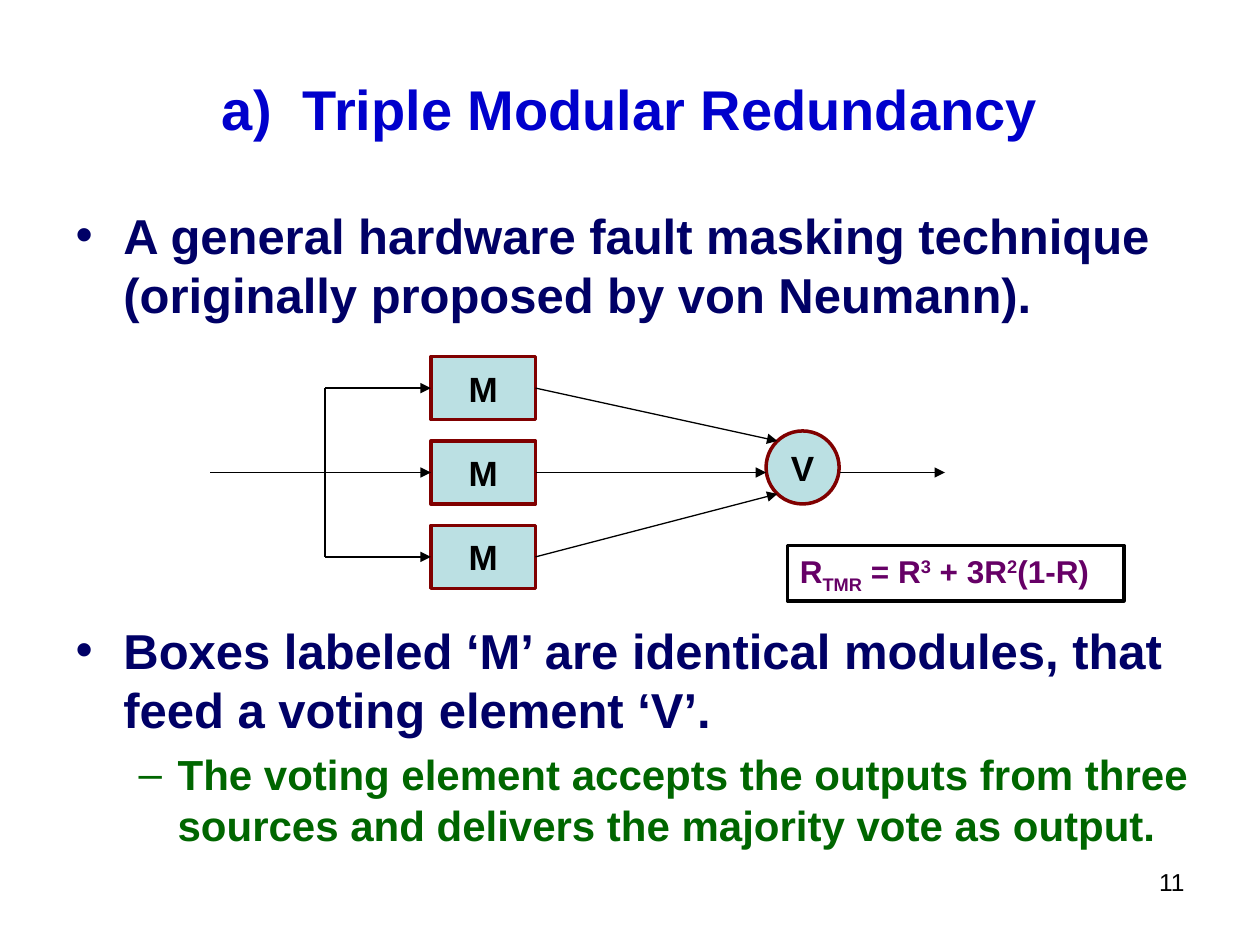
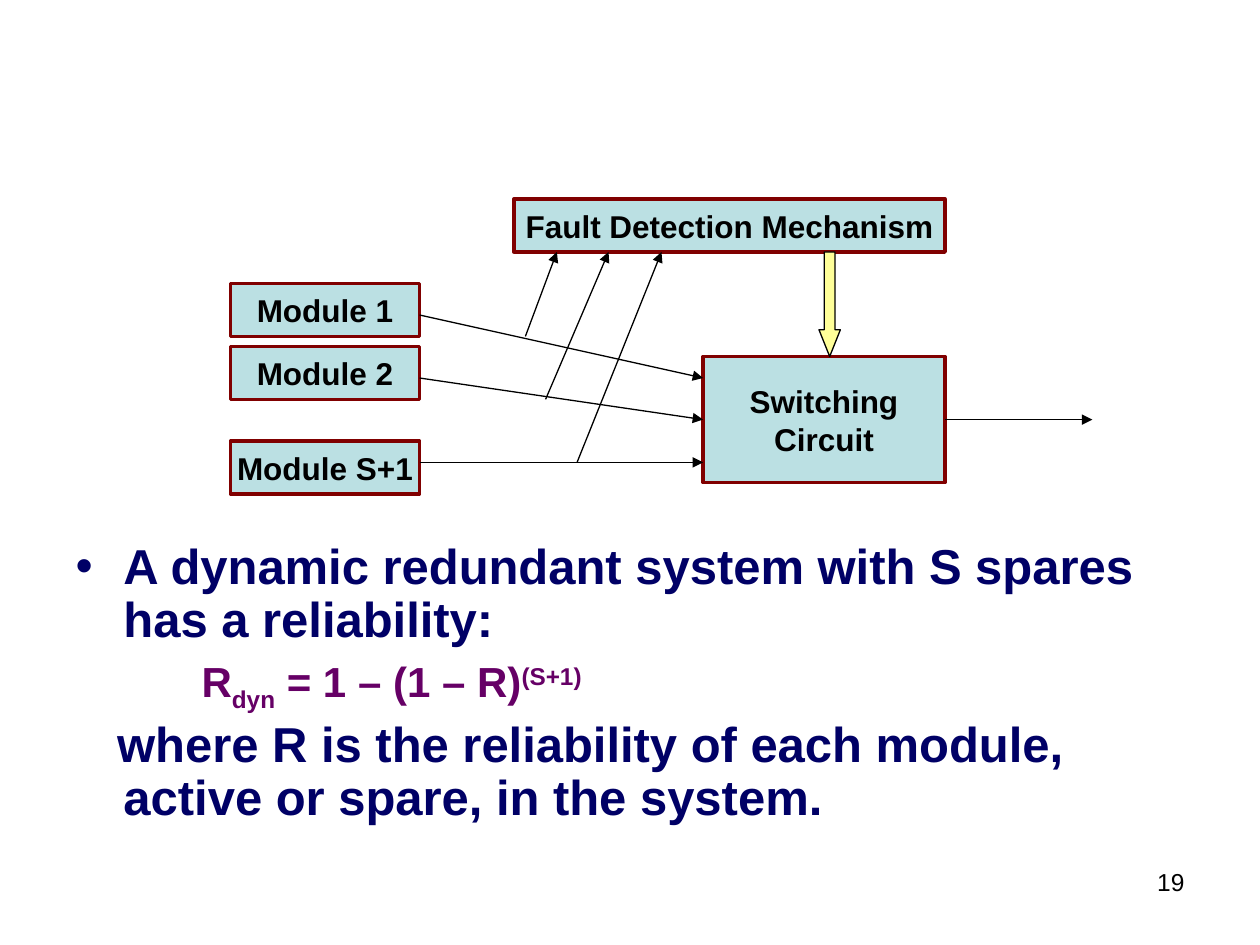
from lxml.etree import SubElement
from pptx import Presentation
from pptx.dml.color import RGBColor
from pptx.enum.shapes import MSO_CONNECTOR as Connector, MSO_SHAPE as Preset
from pptx.enum.text import MSO_ANCHOR as Anchor, MSO_AUTO_SIZE as AutoSize, PP_ALIGN as Align
from pptx.oxml.ns import qn
from pptx.util import Inches, Pt

COLORS = {
    "title": "0000CC",
    "body": "000066",
    "detail": "006600",
    "formula": "660066",
    "box": "BBE0E3",
    "border": "800000",
    "control": "FFFF99",
    "ink": "000000",
}
FONT = "Arial"
TOP, LEFT, BOTTOM, RIGHT = range(4)
SUBSCRIPT, SUPERSCRIPT = -25000, 30000


def color(name):
    return RGBColor.from_string(COLORS[name])


def add_text(frame, text, size=18, ink="ink", bold=True, align=Align.LEFT, level=0,
             margin=0, indent=0, bullet=None, before=0, line_spacing=None):
    """Text is a string or a list of (string, run attributes) pairs."""
    first = frame.paragraphs[0]
    paragraph = frame.add_paragraph() if first.runs else first
    paragraph.level = level
    properties = paragraph._p.get_or_add_pPr()
    properties.set("marL", str(Inches(margin)))
    properties.set("indent", str(Inches(indent)))
    if bullet:
        bullet_color = SubElement(properties, qn("a:buClr"))
        SubElement(bullet_color, qn("a:srgbClr"), val=COLORS[ink])
        SubElement(properties, qn("a:buFont"), typeface=FONT)
        SubElement(properties, qn("a:buChar"), char=bullet)
    else:
        SubElement(properties, qn("a:buNone"))
    paragraph.alignment = align
    paragraph.space_before = Pt(before)
    paragraph.space_after = Pt(0)
    if line_spacing:
        paragraph.line_spacing = line_spacing
    for part, attributes in [(text, {})] if isinstance(text, str) else text:
        run = paragraph.add_run()
        run.text = part
        run.font.name, run.font.size, run.font.bold = FONT, Pt(size), bold
        run.font.color.rgb = color(ink)
        for name, value in attributes.items():
            run._r.get_or_add_rPr().set(name, str(value))


def place(shape, left, top, width, height):
    shape.left, shape.top = Inches(left), Inches(top)
    shape.width, shape.height = Inches(width), Inches(height)
    shape.text_frame.word_wrap = True
    shape.text_frame.auto_size = AutoSize.NONE
    return shape.text_frame


def add_shape(slide, origin, left, top, width, height, lines=(), preset=Preset.RECTANGLE,
              size=18, fill="box", border="border", weight=2):
    shape = slide.shapes.add_shape(preset, Inches(origin[0] + left), Inches(origin[1] + top),
                                   Inches(width), Inches(height))
    shape.shadow.inherit = False
    if fill:
        shape.fill.solid()
        shape.fill.fore_color.rgb = color(fill)
    else:
        shape.fill.background()
    shape.line.color.rgb = color(border)
    shape.line.width = Pt(weight)
    frame = shape.text_frame
    frame.word_wrap = False
    frame.vertical_anchor = Anchor.MIDDLE
    for line in lines:
        add_text(frame, line, size=size, align=Align.CENTER)
    return shape


def add_line(slide, origin, start, end, arrow=True, source=None, target=None):
    points = [Inches(base + offset) for point in (start, end)
              for base, offset in zip(origin, point)]
    connector = slide.shapes.add_connector(Connector.STRAIGHT, *points)
    if source:
        connector.begin_connect(source, RIGHT)
    if target:
        connector.end_connect(target, LEFT)
    connector.line.color.rgb = color("ink")
    connector.line.width = Pt(0.75)
    properties = connector._element.spPr
    if arrow:
        SubElement(properties.find(qn("a:ln")), qn("a:tailEnd"), type="triangle")
    SubElement(properties, qn("a:effectLst"))


def add_slide(presentation, number, title=None):
    slide = presentation.slides.add_slide(presentation.slide_layouts[1])
    heading = slide.shapes.title
    if title:
        frame = place(heading, 0.5, 0.3, 9, 1.12)
        frame.vertical_anchor = Anchor.MIDDLE
        add_text(frame, title, size=32, ink="title", align=Align.CENTER)
    else:
        heading._element.getparent().remove(heading._element)
    footer = slide.shapes.add_textbox(0, 0, 0, 0)
    add_text(place(footer, 7.17, 6.83, 2.33, 0.52), str(number), size=14, bold=False,
             align=Align.RIGHT)
    return slide


def add_bullet(frame, text, **options):
    add_text(frame, text, size=28, ink="body", margin=0.38, indent=-0.38, bullet="•", **options)


def add_voting_diagram(slide, left, top):
    origin = left, top
    pitch, fork, module_left, module_right = 0.67, 0.91, 1.75, 2.58
    middles = [0.25 + pitch * row for row in range(3)]
    modules = [add_shape(slide, origin, module_left, middle - 0.25, 0.83, 0.5, ["M"], size=20)
               for middle in middles]
    add_shape(slide, origin, 4.41, 0.59, 0.58, 0.58, ["V"], preset=Preset.OVAL, size=20)
    starts = [fork, 0, fork]
    voter_ends = [(4.5, 0.67), (4.41, middles[1]), (4.5, 1.09)]
    for module, middle, start, end in zip(modules, middles, starts, voter_ends):
        add_line(slide, origin, (start, middle), (module_left, middle), target=module)
        add_line(slide, origin, (module_right, middle), end, source=module)
    add_line(slide, origin, (fork, middles[2]), (fork, middles[0]), arrow=False)
    add_line(slide, origin, (5, middles[1]), (5.83, middles[1]))


def add_formula_box(slide, left, top):
    box = add_shape(slide, (left, top), 0, 0, 2.67, 0.44, fill=None, border="ink")
    box.text_frame.word_wrap = True
    box.text_frame.vertical_anchor = Anchor.TOP
    add_text(box.text_frame, [
        ("R", {}), ("TMR", {"baseline": SUBSCRIPT}), (" = R", {}),
        ("3", {"baseline": SUPERSCRIPT}), (" + 3R", {}),
        ("2", {"baseline": SUPERSCRIPT}), ("(1-R)", {}),
    ], ink="formula")


def add_spares_diagram(slide, left, top):
    origin = left, top
    detector_bottom, switch_left, switch_right = 0.42, 3.75, 5.67
    for name, module_top in (("Module 1", 0.67), ("Module 2", 1.17), ("Module S+1", 1.92)):
        add_shape(slide, origin, 0, module_top, 1.5, 0.42, [name])
    switch = add_shape(slide, origin, switch_left, 1.25, 1.92, 1, ["Switching", "Circuit"])
    add_shape(slide, origin, 2.25, 0, 3.42, 0.42, ["Fault Detection Mechanism"])
    outputs = [(0.92, 1.42, None), (1.42, 1.75, switch), (2.09, 2.09, None)]
    for start, end, target in outputs:
        add_line(slide, origin, (1.5, start), (switch_left, end), target=target)
    add_line(slide, origin, (switch_right, 1.75), (6.84, 1.75), source=switch)
    for tap, detector in (((2.34, 1.09), 2.59), ((2.5, 1.59), 3), ((2.75, 2.09), 3.42)):
        add_line(slide, origin, tap, (detector, detector_bottom))
    control = add_shape(slide, origin, 4.67, detector_bottom, 0.17, 0.83,
                        preset=Preset.DOWN_ARROW, fill="control", border="ink", weight=0.75)
    control.adjustments[0], control.adjustments[1] = 0.5, 1.25


def build_triple_redundancy(presentation):
    title = [("a)", {}), (" ", {"spc": 890}), ("Triple Modular Redundancy", {})]
    slide = add_slide(presentation, 11, title)
    frame = place(slide.placeholders[1], 0.5, 1.58, 9.25, 5.58)
    add_bullet(frame, "A general hardware fault masking technique "
                      "(originally proposed by von Neumann).")
    add_bullet(frame, "Boxes labeled ‘M’ are identical modules, that feed a voting element ‘V’.",
               before=170)
    add_text(frame, "The voting element accepts the outputs from three sources "
                    "and delivers the majority vote as output.",
             size=24, ink="detail", level=1, margin=0.81, indent=-0.31, bullet="–", before=6)
    add_voting_diagram(slide, 1.67, 2.83)
    add_formula_box(slide, 6.25, 4.33)


def build_dynamic_redundancy(presentation):
    slide = add_slide(presentation, 19)
    frame = place(slide.placeholders[1], 0.5, 4.25, 9, 2.45)
    add_bullet(frame, "A dynamic redundant system with S spares has a reliability:",
               line_spacing=0.9)
    add_text(frame, [
        ("R", {}), ("dyn", {"baseline": SUBSCRIPT}), (" = 1 – (1 – R)", {}),
        ("(S+1)", {"baseline": SUPERSCRIPT}),
    ], size=24, ink="formula", level=2, margin=1.25, indent=-0.25, before=5, line_spacing=0.9)
    add_text(frame, "where R is the reliability of each module, active or spare, in the system.",
             size=28, ink="body", margin=0.38, indent=-0.05, before=7, line_spacing=0.9)
    add_spares_diagram(slide, 1.83, 1.58)


def main():
    presentation = Presentation()
    presentation.slide_width, presentation.slide_height = Inches(10), Inches(7.5)
    build_triple_redundancy(presentation)
    build_dynamic_redundancy(presentation)
    presentation.save("out.pptx")


if __name__ == "__main__":
    main()
